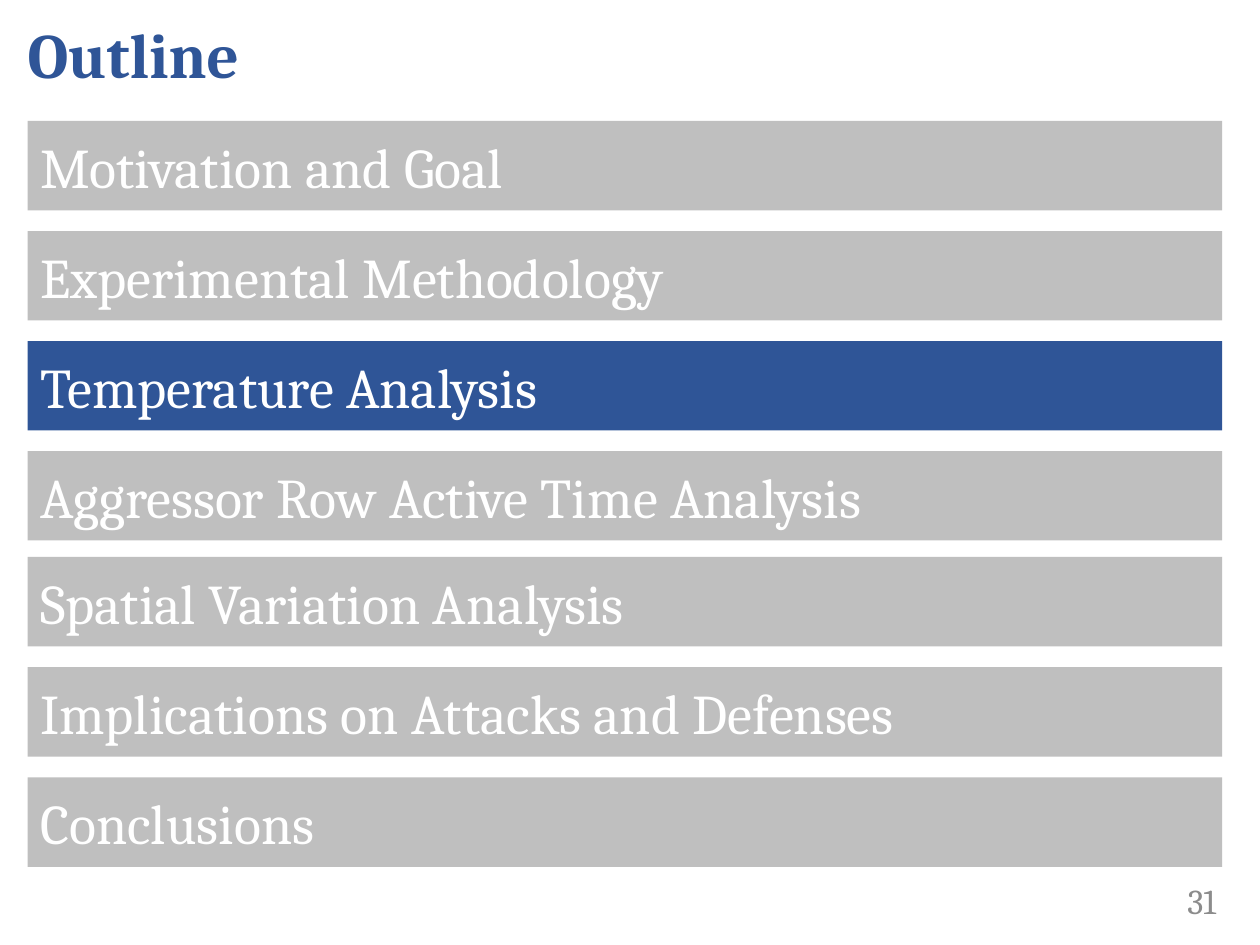
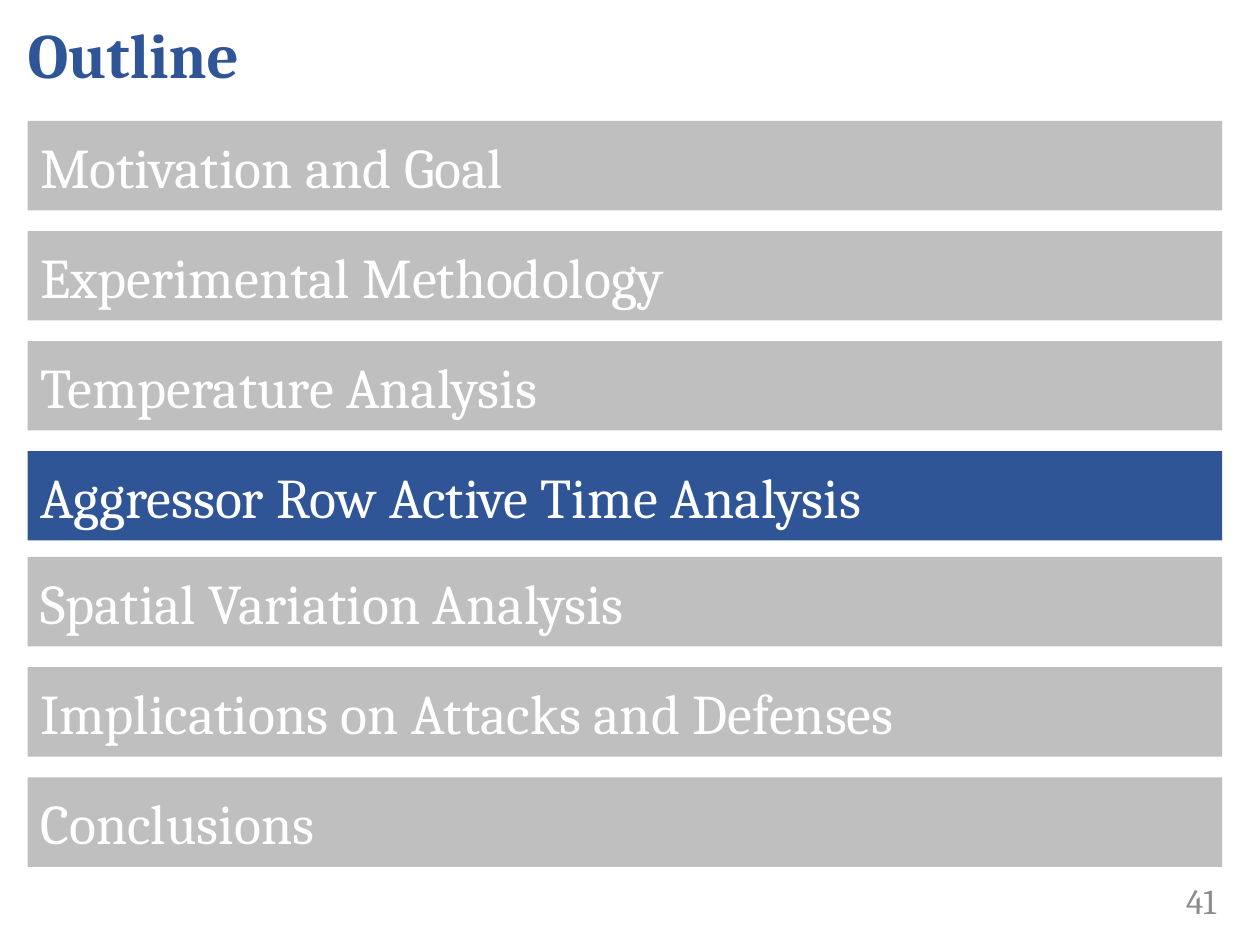
from dataclasses import dataclass

from pptx import Presentation
from pptx.dml.color import RGBColor
from pptx.enum.shapes import MSO_SHAPE
from pptx.enum.text import MSO_ANCHOR, PP_ALIGN
from pptx.util import Inches, Pt

BLUE = RGBColor(0x2F, 0x55, 0x97)
BAND_GRAY = RGBColor(0xBF, 0xBF, 0xBF)
NUMBER_GRAY = RGBColor(0x8C, 0x8C, 0x8C)
WHITE = RGBColor(0xFF, 0xFF, 0xFF)
FONT = "Cambria"
RECTANGLE = MSO_SHAPE.RECTANGLE
MIDDLE = MSO_ANCHOR.MIDDLE
LEFT, RIGHT = PP_ALIGN.LEFT, PP_ALIGN.RIGHT


@dataclass(frozen=True)
class TextStyle:
    size: int
    color: RGBColor
    bold: bool = False
    align: PP_ALIGN = LEFT
    space_after: int = 0


@dataclass(frozen=True)
class SectionGroup:
    first_top: float
    last_top: float
    sections: tuple[str, ...]


@dataclass(frozen=True)
class OutlinePage:
    number: int
    current: str


TITLE_STYLE = TextStyle(36, BLUE, bold=True, space_after=6)
BAND_STYLE = TextStyle(32, WHITE)
NUMBER_STYLE = TextStyle(20, NUMBER_GRAY, align=RIGHT)

GROUPS = (
    SectionGroup(0.96, 3.58, (
        "Motivation and Goal",
        "Experimental Methodology",
        "Temperature Analysis",
        "Aggressor Row Active Time Analysis",
    )),
    SectionGroup(4.42, 6.17, (
        "Spatial Variation Analysis",
        "Implications on Attacks and Defenses",
        "Conclusions",
    )),
)
PAGES = (
    OutlinePage(31, "Temperature Analysis"),
    OutlinePage(41, "Aggressor Row Active Time Analysis"),
)


def write_text(box, text: str, style: TextStyle) -> None:
    frame = box.text_frame
    frame.word_wrap = True
    frame.vertical_anchor = MIDDLE
    para = frame.paragraphs[0]
    para.alignment = style.align
    para.space_after = Pt(style.space_after)
    span = para.add_run()
    span.text = text
    span.font.name = FONT
    span.font.size = Pt(style.size)
    span.font.bold = style.bold
    span.font.color.rgb = style.color


def add_label(page, left: float, top: float, width: float, height: float,
              text: str, style: TextStyle) -> None:
    box = page.shapes.add_textbox(Inches(left), Inches(top), Inches(width), Inches(height))
    write_text(box, text, style)


def add_band(page, top: float, section: str, color: RGBColor) -> None:
    band = page.shapes.add_shape(RECTANGLE, Inches(0.22), Inches(top), Inches(9.48), Inches(0.71))
    band.shadow.inherit = False
    band.fill.solid()
    band.fill.fore_color.rgb = color
    band.line.fill.background()
    write_text(band, section, BAND_STYLE)


def add_outline_page(deck, outline: OutlinePage) -> None:
    page = deck.slides.add_slide(deck.slide_layouts[6])
    add_label(page, 0.12, 0, 9.71, 0.84, "Outline", TITLE_STYLE)
    for group in GROUPS:
        pitch = (group.last_top - group.first_top) / (len(group.sections) - 1)
        for index, section in enumerate(group.sections):
            color = BLUE if section == outline.current else BAND_GRAY
            add_band(page, group.first_top + index * pitch, section, color)
    add_label(page, 8.67, 6.95, 1.08, 0.4, str(outline.number), NUMBER_STYLE)


def main() -> None:
    deck = Presentation()
    deck.slide_width = Inches(10)
    deck.slide_height = Inches(7.5)
    for outline in PAGES:
        add_outline_page(deck, outline)
    deck.save("out.pptx")


if __name__ == "__main__":
    main()
